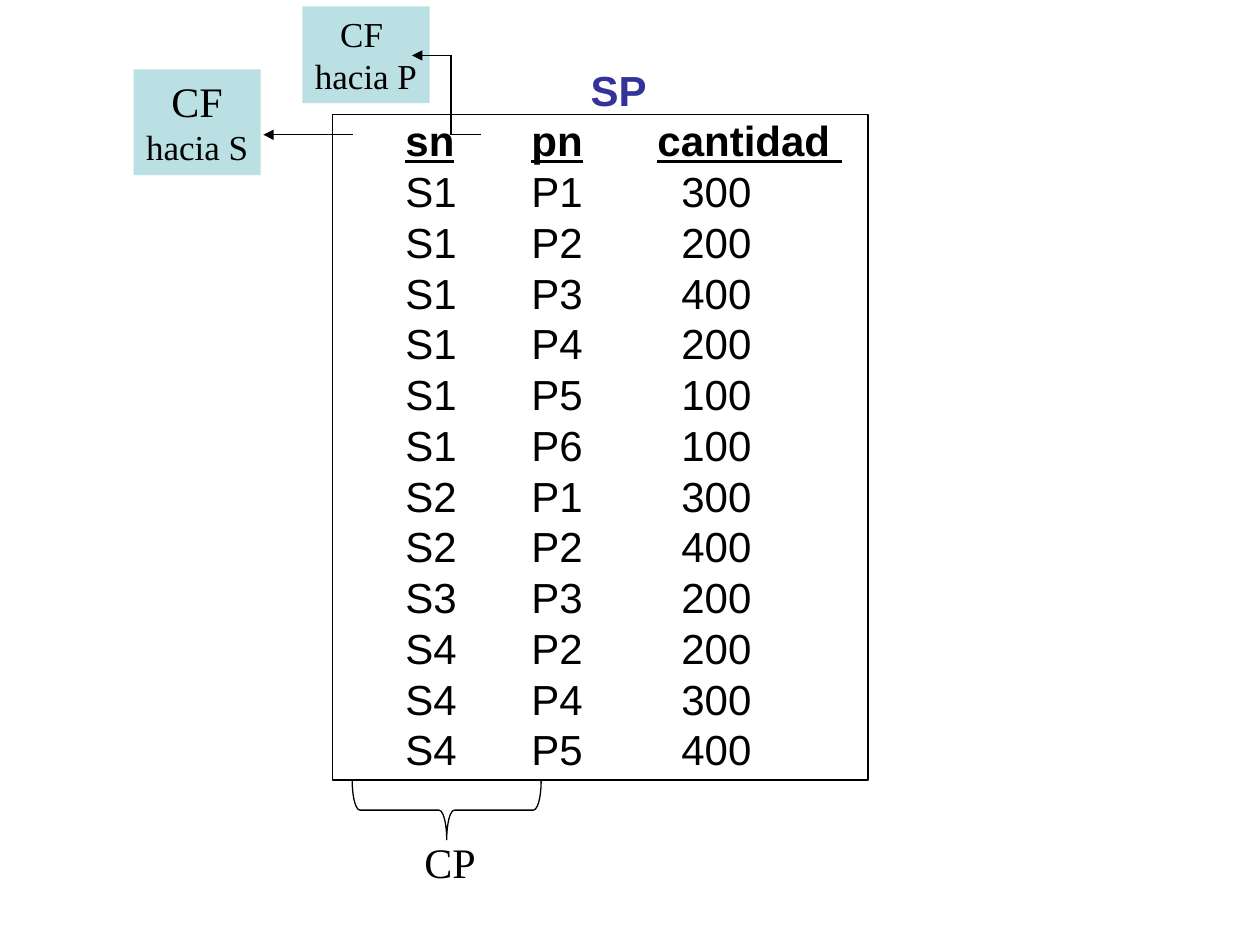
from typing import NamedTuple

import pptx
import pptx.dml.color
import pptx.enum.dml
import pptx.enum.shapes
import pptx.enum.text
import pptx.oxml.ns
import pptx.util
from lxml import etree

RGBColor = pptx.dml.color.RGBColor
BLACK = RGBColor(0x00, 0x00, 0x00)
INDIGO = RGBColor(0x33, 0x33, 0x99)
PALE_TEAL = RGBColor(0xBB, 0xE0, 0xE3)

SHAPES = pptx.enum.shapes.MSO_SHAPE
ALIGN = pptx.enum.text.PP_ALIGN
CELL = pptx.util.Inches(0.1)  # the slide is a grid of 100 columns by 75 rows
LINE_WIDTH = pptx.util.Pt(0.75)

BODY = {"name": "Arial", "size": pptx.util.Pt(24), "bold": False}
TITLE = BODY | {"bold": True}
HEADING = TITLE | {"underline": True}
LARGE_NOTE = {"name": "Times New Roman", "size": pptx.util.Pt(24)}
SMALL_NOTE = LARGE_NOTE | {"size": pptx.util.Pt(20)}

TITLE_STOPS = (38.4,)
HEADING_STOPS = (23.7, 33.7, 43.7)
ROW_STOPS = (23.7, 33.7, 45.6)


class Area(NamedTuple):
    column: float
    row: float
    columns: float
    rows: float


class NoteLine(NamedTuple):
    text: str
    style: dict


class Note(NamedTuple):
    area: Area
    lines: tuple
    fill: RGBColor | None = None
    align: ALIGN = ALIGN.CENTER


class Segment(NamedTuple):
    start: tuple
    end: tuple
    arrow: bool = False


SHIPMENTS = (
    ("S1", "P1", 300), ("S1", "P2", 200), ("S1", "P3", 400),
    ("S1", "P4", 200), ("S1", "P5", 100), ("S1", "P6", 100),
    ("S2", "P1", 300), ("S2", "P2", 400), ("S3", "P3", 200),
    ("S4", "P2", 200), ("S4", "P4", 300), ("S4", "P5", 400),
)
RELATION_AREA = Area(7.5, 5.4, 85, 61.5)
FRAME_AREA = Area(26.4, 9.1, 42.5, 52.8)
BRACE_AREA = Area(33.1, 56.8, 4.7, 15)  # before its quarter turn

NOTES = (
    Note(Area(32.7, 65.9, 6.1, 5), (NoteLine("CP", LARGE_NOTE),), align=ALIGN.LEFT),
    Note(Area(10.6, 5.5, 10.1, 8.4),
         (NoteLine("CF", LARGE_NOTE), NoteLine("hacia S", SMALL_NOTE)), PALE_TEAL),
    Note(Area(24, 0.5, 10.1, 7.7),
         (NoteLine("CF ", SMALL_NOTE), NoteLine("hacia P", SMALL_NOTE)), PALE_TEAL),
)

KEY_ROW, BEND_COLUMN, NOTE_ROW = 10.7, 35.8, 4.4
SEGMENTS = (
    Segment((28, KEY_ROW), (20.9, KEY_ROW), arrow=True),
    Segment((BEND_COLUMN, NOTE_ROW), (32.7, NOTE_ROW), arrow=True),
    Segment((38.2, KEY_ROW), (BEND_COLUMN, KEY_ROW)),
    Segment((BEND_COLUMN, KEY_ROW), (BEND_COLUMN, NOTE_ROW)),
)


def cells(*counts: float) -> list[int]:
    """Turn counts of grid cells into lengths."""
    return [int(count * CELL) for count in counts]


def add_run(paragraph, text: str, style: dict, color: RGBColor = BLACK) -> None:
    run = paragraph.add_run()
    run.text = text
    for attribute, value in style.items():
        setattr(run.font, attribute, value)
    run.font.color.rgb = color


def paragraph_at(frame, index: int):
    return frame.add_paragraph() if index else frame.paragraphs[0]


def add_tab_stops(paragraph, stops: tuple) -> None:
    properties = paragraph._p.get_or_add_pPr()
    tab_list = etree.SubElement(properties, pptx.oxml.ns.qn("a:tabLst"))
    for position in cells(*stops):
        etree.SubElement(tab_list, pptx.oxml.ns.qn("a:tab"), pos=str(position), algn="l")


def add_relation(slide) -> None:
    """Write the relation's name, headings and rows on shared tab stops."""
    frame = slide.shapes.add_textbox(*cells(*RELATION_AREA)).text_frame
    frame.word_wrap = True
    lines = [
        (("SP",), TITLE, INDIGO, TITLE_STOPS),
        (("sn", "pn", "cantidad "), HEADING, BLACK, HEADING_STOPS),
    ]
    lines += [(shipment, BODY, BLACK, ROW_STOPS) for shipment in SHIPMENTS]
    for index, (values, style, color, stops) in enumerate(lines):
        paragraph = paragraph_at(frame, index)
        paragraph.line_spacing = pptx.util.Pt(23)
        paragraph.space_before = pptx.util.Pt(6)
        add_tab_stops(paragraph, stops)
        for value in values:
            add_run(paragraph, "\t", BODY)
            add_run(paragraph, str(value), style, color)


def add_outline(slide, preset: SHAPES, area: Area):
    outline = slide.shapes.add_shape(preset, *cells(*area))
    outline.shadow.inherit = False
    outline.fill.background()
    outline.line.color.rgb = BLACK
    outline.line.width = LINE_WIDTH
    return outline


def add_note(slide, note: Note) -> None:
    if note.fill is None:
        box = slide.shapes.add_textbox(*cells(*note.area))
    else:
        box = slide.shapes.add_shape(SHAPES.RECTANGLE, *cells(*note.area))
        box.shadow.inherit = False
        box.fill.solid()
        box.fill.fore_color.rgb = note.fill
        box.line.fill.background()
    frame = box.text_frame
    frame.word_wrap = False
    frame.auto_size = pptx.enum.text.MSO_AUTO_SIZE.SHAPE_TO_FIT_TEXT
    frame.vertical_anchor = pptx.enum.text.MSO_ANCHOR.TOP
    for index, line in enumerate(note.lines):
        paragraph = paragraph_at(frame, index)
        paragraph.alignment = note.align
        add_run(paragraph, line.text, line.style)


def add_segment(slide, segment: Segment) -> None:
    connector = slide.shapes.add_connector(
        pptx.enum.shapes.MSO_CONNECTOR.STRAIGHT, *cells(*segment.start, *segment.end))
    connector.line.color.rgb = BLACK
    connector.line.width = LINE_WIDTH
    if segment.arrow:
        etree.SubElement(connector.line._get_or_add_ln(),
                         pptx.oxml.ns.qn("a:tailEnd"), type="triangle")
    etree.SubElement(connector._element.spPr, pptx.oxml.ns.qn("a:effectLst"))


def main() -> None:
    presentation = pptx.Presentation()
    presentation.slide_width, presentation.slide_height = cells(100, 75)
    slide = presentation.slides.add_slide(presentation.slide_layouts[6])

    add_relation(slide)
    key_brace = add_outline(slide, SHAPES.RIGHT_BRACE, BRACE_AREA)
    key_brace.rotation = 90
    key_brace.adjustments[0] = 0.13
    for note in NOTES:
        add_note(slide, note)
    add_outline(slide, SHAPES.RECTANGLE, FRAME_AREA)
    for segment in SEGMENTS:
        add_segment(slide, segment)

    presentation.save("out.pptx")


if __name__ == "__main__":
    main()
